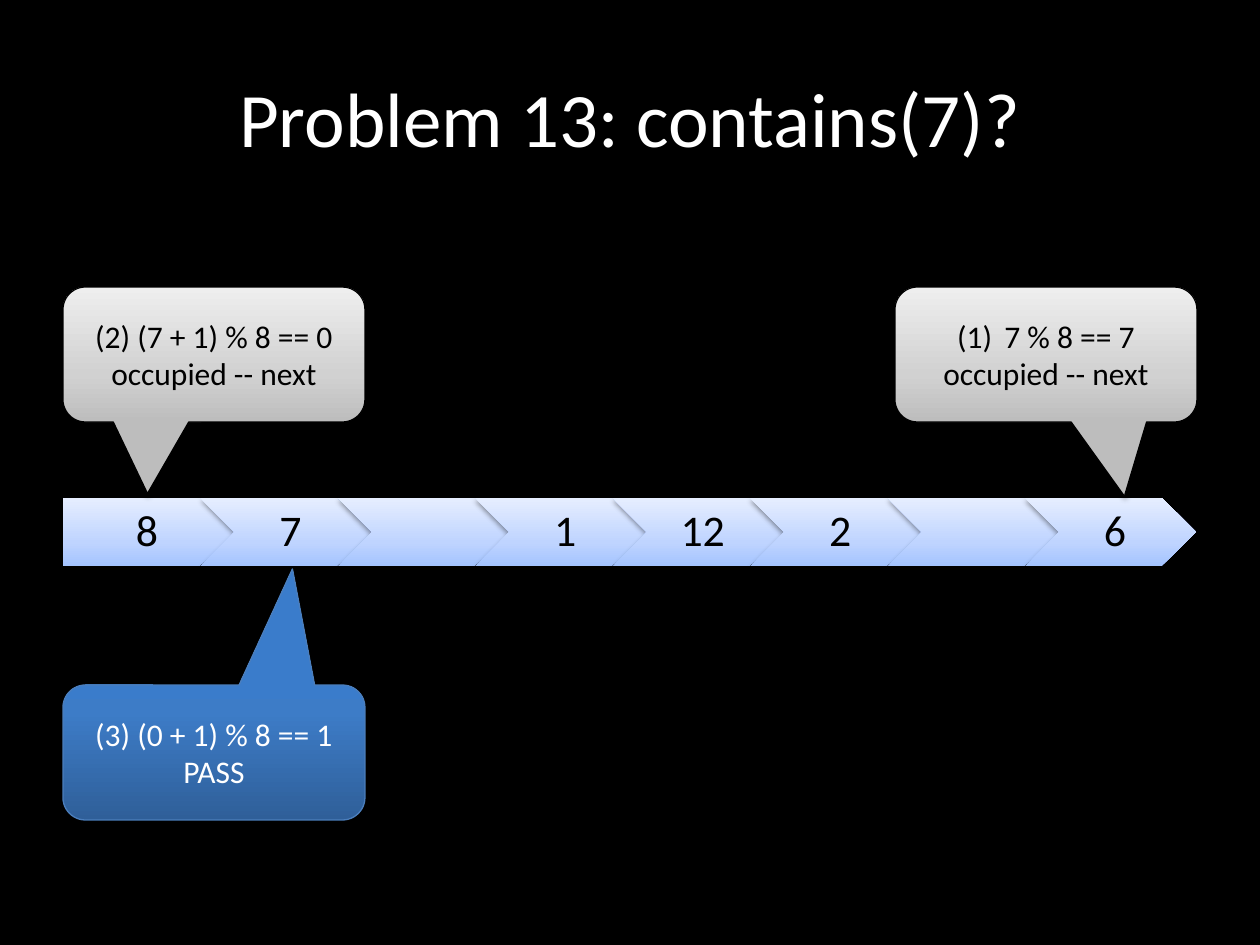
from typing import NamedTuple

from lxml import etree
from pptx import Presentation, util as u
from pptx.dml.color import RGBColor
from pptx.enum import shapes, text
from pptx.oxml.ns import qn

PX = u.Inches(1) / 126
FONT = "Calibri"
CELLS = ["8", "7", "", "1", "12", "2", "", "6"]
ROW_LEFT, ROW_RIGHT, ROW_TOP = 63, 1196, 498
CELL_WIDTH, CELL_HEIGHT = 171, 68


class Shadow(NamedTuple):
    opacity: int
    blur: float
    distance: float


class Look(NamedTuple):
    stops: list[tuple[int, str]]
    ink: str
    shadow: Shadow
    line: str | None = None


class Callout(NamedTuple):
    left: int
    top: int
    tip: tuple[float, float]
    lines: list[str]
    look: Look
    number: int | None = None


SOFT = Shadow(38, 3.1, 1.6)
CELL = Look([(0, "A4C4FF"), (35, "BFD4FF"), (100, "E6EEFF")], "000000", SOFT)
OCCUPIED = Look([(0, "BDBDBD"), (35, "D1D1D1"), (100, "EEEEEE")], "000000", SOFT, "000000")
PASSED = Look([(0, "2F5F99"), (80, "3D7CC7"), (100, "3A7CCB")], "FFFFFF",
              Shadow(35, 3.1, 1.8), "4B7EBC")

CALLOUTS = [
    Callout(895, 287, (0.26, 1.05), ["7 % 8 == 7", "occupied -- next"], OCCUPIED, 1),
    Callout(63, 287, (-0.22, 1.03), ["(2) (7 + 1) % 8 == 0", "occupied -- next"], OCCUPIED),
    Callout(63, 685, (0.26, -1.36), ["(3) (0 + 1) % 8 == 1", "PASS"], PASSED),
]


def px(length: float) -> int:
    return round(length * PX)


def rgb(value: str) -> RGBColor:
    return RGBColor.from_string(value)


def add_node(parent, tag: str, **attributes):
    values = {name: str(value) for name, value in attributes.items()}
    return etree.SubElement(parent, qn(tag), values)


def apply_look(shape, look: Look) -> None:
    """Set a gradient rising from the bottom, the outline and the shadow."""
    shape.fill.gradient()
    shape.fill.gradient_angle = 90
    stops = shape.element.spPr.find(".//" + qn("a:gsLst"))
    for stop in list(stops):
        stops.remove(stop)
    for position, color in look.stops:
        add_node(add_node(stops, "a:gs", pos=position * 1000), "a:srgbClr", val=color)

    if look.line:
        shape.line.color.rgb = rgb(look.line)
        shape.line.width = u.Pt(0.75)
    else:
        shape.line.fill.background()

    shape.shadow.inherit = False
    effects = shape.element.spPr.find(qn("a:effectLst"))
    outer = add_node(effects, "a:outerShdw", blurRad=u.Pt(look.shadow.blur),
                     dist=u.Pt(look.shadow.distance), dir=90 * 60000, rotWithShape=0)
    add_node(add_node(outer, "a:srgbClr", val="000000"), "a:alpha",
             val=look.shadow.opacity * 1000)


def write(shape, lines: list[str], size: int, ink: str, number: int | None = None) -> None:
    """Write centred lines; a number turns the first one into a numbered item."""
    frame = shape.text_frame
    frame.word_wrap = True
    frame.vertical_anchor = text.MSO_ANCHOR.MIDDLE
    for index, line in enumerate(lines):
        paragraph = frame.paragraphs[0] if index == 0 else frame.add_paragraph()
        paragraph.alignment = text.PP_ALIGN.CENTER
        if number and index == 0:
            properties = paragraph._p.get_or_add_pPr()
            properties.set("marL", "342900")
            properties.set("indent", "-342900")
            add_node(properties, "a:buFont", typeface=FONT)
            add_node(properties, "a:buAutoNum", type="arabicParenBoth", startAt=number)
        run = paragraph.add_run()
        run.text = line
        for name, value in {"name": FONT, "size": u.Pt(size)}.items():
            setattr(run.font, name, value)
        run.font.color.rgb = rgb(ink)


def add_cell(slide, index: int, value: str) -> None:
    step = (ROW_RIGHT - ROW_LEFT - CELL_WIDTH) / (len(CELLS) - 1)
    kind = shapes.MSO_SHAPE.CHEVRON if index else shapes.MSO_SHAPE.PENTAGON
    cell = slide.shapes.add_shape(kind, px(ROW_LEFT + index * step), px(ROW_TOP),
                                  px(CELL_WIDTH), px(CELL_HEIGHT))
    apply_look(cell, CELL)
    if not value:
        return
    write(cell, [value], 25, CELL.ink)
    cell.text_frame.paragraphs[0].line_spacing = 0.9
    margins = {"left": 14 if index else 19, "top": 9, "right": 5, "bottom": 9}
    for side, margin in margins.items():
        setattr(cell.text_frame, f"margin_{side}", px(margin))


def add_callout(slide, callout: Callout) -> None:
    bubble = slide.shapes.add_shape(shapes.MSO_SHAPE.ROUNDED_RECTANGULAR_CALLOUT,
                                    px(callout.left), px(callout.top), px(302), px(135))
    bubble.adjustments[0], bubble.adjustments[1] = callout.tip
    apply_look(bubble, callout.look)
    write(bubble, callout.lines, 18, callout.look.ink, callout.number)


def main() -> None:
    deck = Presentation()
    deck.slide_width, deck.slide_height = u.Inches(10), u.Inches(7.5)
    slide = deck.slides.add_slide(deck.slide_layouts[6])
    slide.background.fill.solid()
    slide.background.fill.fore_color.rgb = rgb("000000")

    title = slide.shapes.add_textbox(px(63), px(38), px(1134), px(157))
    write(title, ["Problem 13: contains(7)?"], 44, "FFFFFF")
    for index, value in enumerate(CELLS):
        add_cell(slide, index, value)
    for callout in CALLOUTS:
        add_callout(slide, callout)
    deck.save("out.pptx")


if __name__ == "__main__":
    main()
